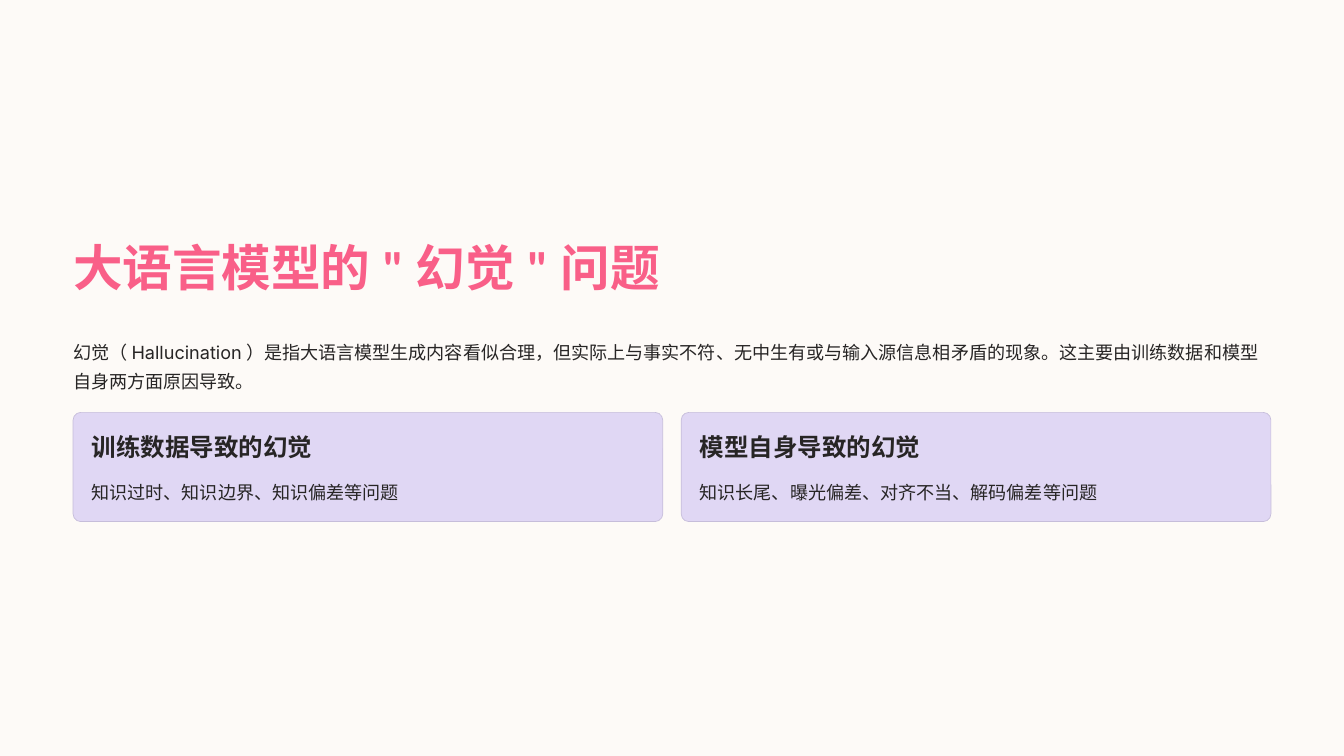
"""Build a slide on the hallucination problem of large language models."""
from pptx import Presentation
from pptx.dml.color import RGBColor
from pptx.enum.shapes import MSO_SHAPE as Shape
from pptx.util import Inches, Pt

LEFT, WIDTH = 0.87, 14.26
CARD_TOP, CARD_WIDTH, CARD_HEIGHT = 4.91, 7.02, 1.3
CARD_STEP = WIDTH - CARD_WIDTH
PADDING = 0.22
CARDS = [
    ("训练数据导致的幻觉", "知识过时、知识边界、知识偏差等问题"),
    ("模型自身导致的幻觉", "知识长尾、曝光偏差、对齐不当、解码偏差等问题"),
]


def color(value):
    return RGBColor.from_string(value)


def write(frame, text, *, size, spacing, font="Inter", ink="272525", bold=False):
    paragraph = frame.paragraphs[0]
    paragraph.line_spacing = Pt(spacing)
    run = paragraph.add_run()
    run.text = text
    run.font.name = font
    run.font.size = Pt(size)
    run.font.bold = bold
    run.font.color.rgb = color(ink)


class SlideBuilder:
    heading = {"size": 21, "spacing": 26.5, "font": "Calibri", "bold": True}
    title = {"size": 42.5, "spacing": 53.5, "font": "Calibri", "bold": True, "ink": "F95F88"}
    body = {"size": 15.5, "spacing": 25}

    def __init__(self, presentation):
        self.slide = presentation.slides.add_slide(presentation.slide_layouts[6])
        fill = self.slide.background.fill
        fill.solid()
        fill.fore_color.rgb = color("FDFAF7")

    def text(self, left, top, width, height, text, style):
        box = self.slide.shapes.add_textbox(
            Inches(left), Inches(top), Inches(width), Inches(height))
        frame = box.text_frame
        frame.word_wrap = True
        frame.margin_left = frame.margin_right = 0
        frame.margin_top = frame.margin_bottom = 0
        write(frame, text, **style)

    def panel(self, left, top, width, height):
        shape = self.slide.shapes.add_shape(
            Shape.ROUNDED_RECTANGLE,
            Inches(left), Inches(top), Inches(width), Inches(height))
        shape.adjustments[0] = 0.07
        shape.shadow.inherit = False
        shape.fill.solid()
        shape.fill.fore_color.rgb = color("E0D7F4")
        shape.line.color.rgb = color("C6BDDA")
        shape.line.width = Pt(0.6)

    def card(self, left, heading, detail):
        self.panel(left, CARD_TOP, CARD_WIDTH, CARD_HEIGHT)
        inner = left + PADDING
        self.text(inner, CARD_TOP + PADDING, 2.98, 0.37, heading, self.heading)
        self.text(inner, CARD_TOP + 0.73, 6.57, 0.35, detail, self.body)


def main():
    presentation = Presentation()
    presentation.slide_width = Inches(16)
    presentation.slide_height = Inches(9)
    builder = SlideBuilder(presentation)
    builder.text(LEFT, 2.79, 7.4, 0.75, '大语言模型的"幻觉"问题', builder.title)
    builder.text(
        LEFT, 3.97, WIDTH, 0.69,
        "幻觉（Hallucination）是指大语言模型生成内容看似合理，但实际上与事实不符、"
        "无中生有或与输入源信息相矛盾的现象。这主要由训练数据和模型自身两方面原因导致。",
        builder.body)
    for index, (heading, detail) in enumerate(CARDS):
        builder.card(LEFT + index * CARD_STEP, heading, detail)
    presentation.save("out.pptx")


if __name__ == "__main__":
    main()
